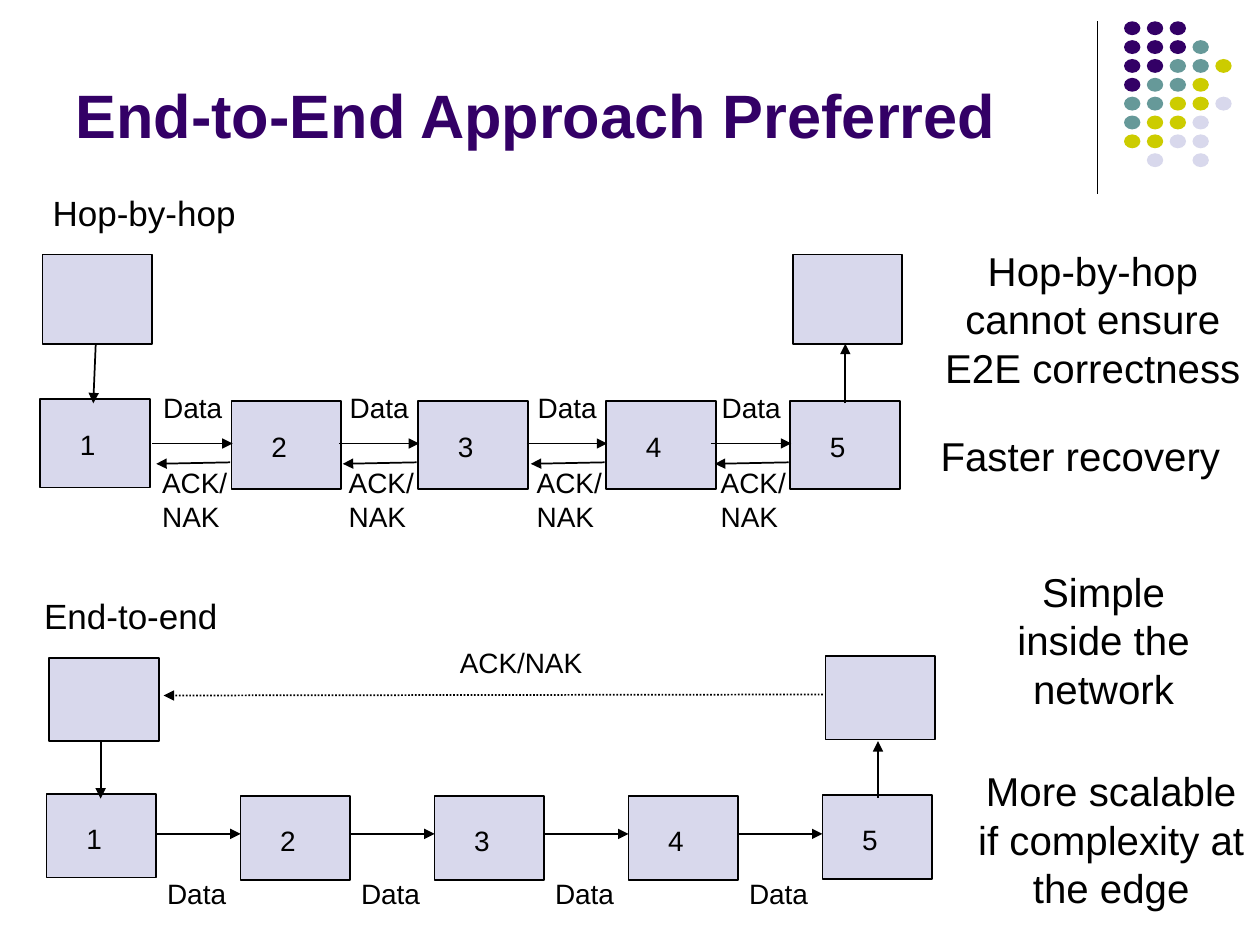
from lxml import etree
from pptx import Presentation
from pptx import util as u
from pptx.dml.color import RGBColor
from pptx.enum import dml, shapes, text
from pptx.oxml.ns import qn

COLOURS = {
    "ink": "000000",
    "purple": "330066",
    "teal": "669999",
    "lime": "CCCC00",
    "lavender": "D8D8EC",
}
FONT = "Arial"


def colour(name):
    return RGBColor.from_string(COLOURS[name])


class Sketch:
    """Style and current slide; all lengths are centimetres."""

    node_width = 2.21

    def __init__(self, page):
        self.page = page

    def style(self, frame, words, size, name="ink", bold=False,
              align=text.PP_ALIGN.LEFT, anchor=text.MSO_ANCHOR.TOP):
        frame.word_wrap = True
        frame.auto_size = text.MSO_AUTO_SIZE.NONE
        frame.vertical_anchor = anchor
        frame.text = words
        para = frame.paragraphs[0]
        para.alignment = align
        para.font.name = FONT
        para.font.size = u.Pt(size)
        para.font.bold = bold
        para.font.color.rgb = colour(name)

    def title(self, words, left, top, width, height):
        box = self.page.shapes.title
        box.left, box.top = u.Cm(left), u.Cm(top)
        box.width, box.height = u.Cm(width), u.Cm(height)
        self.style(box.text_frame, words, 35, "purple", bold=True,
                   anchor=text.MSO_ANCHOR.BOTTOM)

    def label(self, words, left, top, width, height=0.94, size=16, **options):
        box = self.page.shapes.add_textbox(
            u.Cm(left), u.Cm(top), u.Cm(width), u.Cm(height))
        self.style(box.text_frame, words, size, **options)

    def note(self, words, left, top, width, height=3.18):
        self.label(words, left, top, width, height, size=23,
                   align=text.PP_ALIGN.CENTER, anchor=text.MSO_ANCHOR.BOTTOM)

    def shape(self, kind, left, top, width, height, fill):
        shape = self.page.shapes.add_shape(
            kind, u.Cm(left), u.Cm(top), u.Cm(width), u.Cm(height))
        shape.shadow.inherit = False
        shape.fill.solid()
        shape.fill.fore_color.rgb = colour(fill)
        return shape

    def dot(self, left, top, fill):
        self.shape(shapes.MSO_SHAPE.OVAL, left, top, 0.33, 0.28,
                   fill).line.fill.background()

    def node(self, left, top, height):
        box = self.shape(shapes.MSO_SHAPE.RECTANGLE, left, top,
                         self.node_width, height, "lavender")
        box.line.color.rgb = colour("ink")
        box.line.width = u.Pt(1)

    def line(self, start, end, width=1, arrow=True, dotted=False):
        line = self.page.shapes.add_connector(
            shapes.MSO_CONNECTOR.STRAIGHT, *map(u.Cm, start + end))
        line.line.color.rgb = colour("ink")
        line.line.width = u.Pt(width)
        if dotted:
            line.line.dash_style = dml.MSO_LINE.ROUND_DOT
        if arrow:
            etree.SubElement(line.line._get_or_add_ln(), qn("a:tailEnd"),
                             type="triangle")
        etree.SubElement(line._element.spPr, qn("a:effectLst"))


def draw_ornament(sketch):
    sketch.line((22.12, 0.43), (22.12, 3.91), width=0.75, arrow=False)
    fills = {"P": "purple", "T": "teal", "Y": "lime", "L": "lavender"}
    rows = ["PPP", "PPPT", "PPTTY", "PTTY", "TTYYL", "TYYL", "YYLL", " L L"]
    for row, marks in enumerate(rows):
        for column, mark in enumerate(marks):
            if mark in fills:
                sketch.dot(22.66 + 0.46 * column, 0.43 + 0.38 * row,
                           fills[mark])


def draw_hop_by_hop(sketch):
    sketch.label("Hop-by-hop", 0.81, 3.73, 9.73, 1.12, size=20)
    # End hosts above the chain
    for left in (0.86, 15.98):
        sketch.node(left, 5.13, 1.8)
    # Relay nodes, each acknowledging the one before it
    for number, left in enumerate((0.81, 4.67, 8.43, 12.22, 15.93), 1):
        top = 8.05 if number == 1 else 8.08
        sketch.node(left, top, 1.78)
        sketch.label(str(number), left + 0.55, top + 0.45, 1.73)
        if number > 1:
            sketch.label("Data", left - 1.63, 7.75, 2.08)
            sketch.line((left - 1.6, 8.94), (left + 0.02, 8.94))
            sketch.line((left - 0.03, 9.32), (left - 1.52, 9.35))
            sketch.label("ACK/NAK", left - 1.65, 9.27, 2.11, 1.63)
    # Down into the network and up out of it
    sketch.line((1.93, 6.93), (1.88, 8.13))
    sketch.line((17.04, 8.13), (17.04, 6.93))


def draw_end_to_end(sketch):
    sketch.label("End-to-end", 0.64, 11.86, 9.73, 1.12, size=20)
    # End hosts and their direct acknowledgement
    sketch.node(0.99, 13.26, 1.68)
    sketch.node(16.64, 13.23, 1.68)
    sketch.line((16.59, 14), (3.3, 14.02), dotted=True)
    sketch.label("ACK/NAK", 9.02, 12.88, 3.78)
    # Relay nodes that only forward data
    for index, top in enumerate((16, 16.05, 16.05, 16.05, 16.03)):
        left = 0.94 + 3.91 * index
        sketch.node(left, top, 1.69)
        sketch.label(str(index + 1), left + 0.55, top + 0.43, 1.73)
        if index:
            sketch.label("Data", left - 1.73, 17.55, 2.08)
            sketch.line((left - 1.71, 16.81), (left, 16.81))
    # Down into the network and up out of it
    sketch.line((2.03, 14.96), (2.03, 16.1))
    sketch.line((17.7, 16.08), (17.7, 14.94))


def main():
    deck = Presentation()
    deck.slide_width, deck.slide_height = u.Cm(25.4), u.Cm(19.05)
    sketch = Sketch(deck.slides.add_slide(deck.slide_layouts[5]))

    draw_ornament(sketch)
    sketch.title("End-to-End Approach Preferred", 1.27, 0.33, 20.96, 2.84)
    draw_hop_by_hop(sketch)
    draw_end_to_end(sketch)

    # Remarks on the right
    sketch.note("Hop-by-hop cannot ensure E2E correctness", 18.67, 4.83, 6.73)
    sketch.note("Faster recovery", 18.42, 8.56, 6.73, 1.24)
    sketch.note("Simple inside the network", 19.94, 11.3, 4.62)
    sketch.note("More scalable if complexity at the edge", 19.41, 15.32, 5.99)

    deck.save("out.pptx")


if __name__ == "__main__":
    main()
